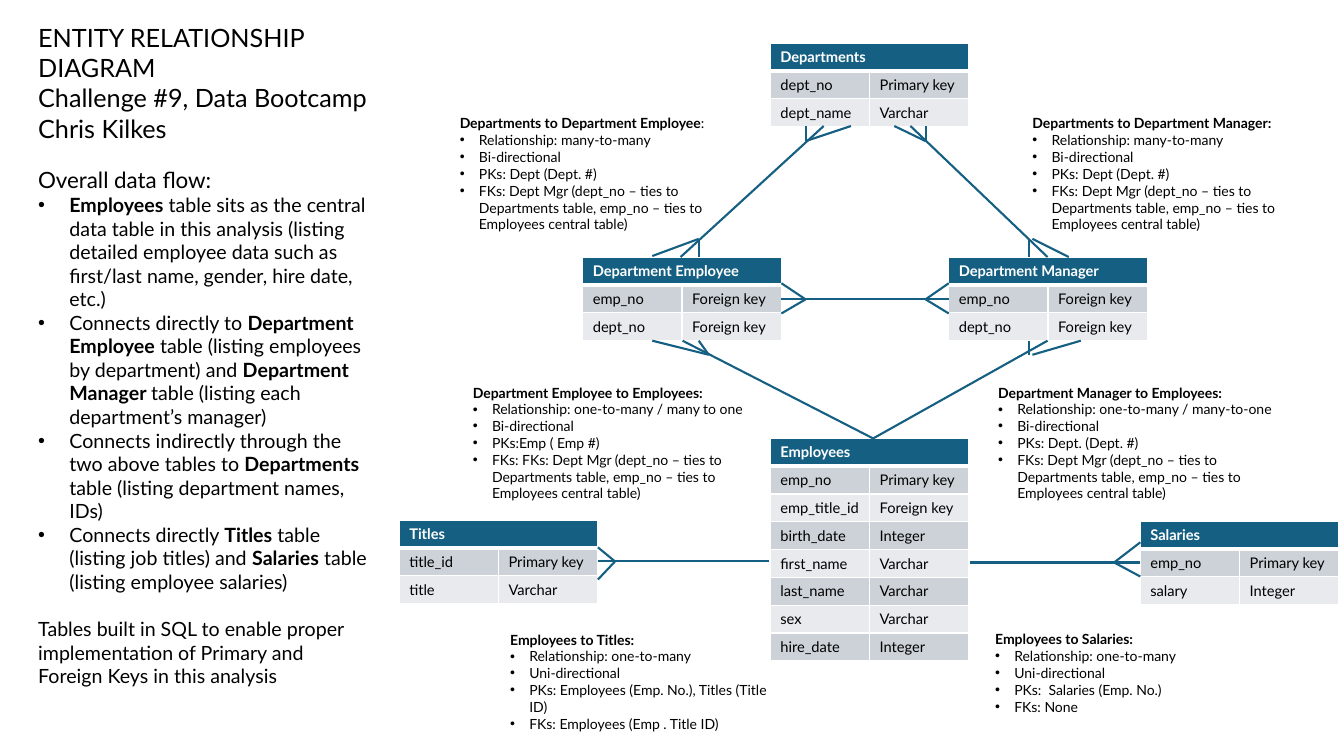
"""Build the entity relationship diagram slide for an employee database."""
from dataclasses import dataclass

from lxml import etree
from pptx import Presentation
from pptx.dml.color import RGBColor
from pptx.enum.shapes import MSO_CONNECTOR
from pptx.enum.text import MSO_AUTO_SIZE
from pptx.oxml.ns import qn
from pptx.slide import Slide
from pptx.util import Inches, Pt

STRAIGHT = MSO_CONNECTOR.STRAIGHT
FIT_SHAPE = MSO_AUTO_SIZE.SHAPE_TO_FIT_TEXT
FONT = "Lato"
BLUE, WHITE, BLACK = "156082", "FFFFFF", "000000"
BANDS = ("E8EAED", "CCD2D8")
ENTITY_WIDTH, ROW_HEIGHT = 1.97, 0.27
Point = tuple[float, float]


@dataclass
class Entity:
    left: float
    top: float
    title: str
    fields: list[tuple[str, str]]


@dataclass
class CrowFoot:
    tip: Point
    toes: list[Point]


@dataclass
class Line:
    text: str
    size: float
    indent: float = 0
    space_before: float = 0


@dataclass
class Note:
    left: float
    top: float
    width: float
    height: float
    title: str
    facts: list[str]


PK, FK, VARCHAR, INTEGER = "Primary key", "Foreign key", "Varchar", "Integer"
LINK_FIELDS = [("emp_no", FK), ("dept_no", FK)]
ENTITIES = [
    Entity(7.64, 4.35, "Employees", [
        ("emp_no", PK), ("emp_title_id", FK), ("birth_date", INTEGER),
        ("first_name", VARCHAR), ("last_name", VARCHAR), ("sex", VARCHAR),
        ("hire_date", INTEGER)]),
    Entity(7.64, 0.43, "Departments", [("dept_no", PK), ("dept_name", VARCHAR)]),
    Entity(5.78, 2.55, "Department Employee", LINK_FIELDS),
    Entity(9.41, 2.55, "Department Manager", LINK_FIELDS),
    Entity(11.31, 5.17, "Salaries", [("emp_no", PK), ("salary", INTEGER)]),
    Entity(3.96, 5.16, "Titles", [("title_id", PK), ("title", VARCHAR)]),
]

RELATIONSHIPS: list[tuple[Point, Point]] = [
    ((9.62, 5.58), (11.31, 5.58)),
    ((7.63, 5.57), (5.93, 5.57)),
    ((7.75, 2.97), (9.41, 2.97)),
    ((10.39, 2.55), (9.03, 1.25)),
    ((6.75, 2.55), (8.17, 1.25)),
    ((8.66, 4.35), (10.39, 3.38)),
    ((8.66, 4.35), (6.77, 3.38)),
]
CROW_FEET = [
    CrowFoot((11.05, 5.58), [(11.31, 5.38), (11.31, 5.72)]),
    CrowFoot((6.1, 5.57), [(5.93, 5.43), (5.93, 5.75)]),
    CrowFoot((9.18, 2.97), [(9.41, 3.11), (9.41, 2.81)]),
    CrowFoot((7.99, 2.97), [(7.75, 3.11), (7.75, 2.81)]),
    CrowFoot((7.99, 1.4), [(7.99, 1.25), (8.44, 1.25)]),
    CrowFoot((9.18, 1.4), [(9.18, 1.25), (8.87, 1.25)]),
    CrowFoot((6.93, 2.37), [(6.47, 2.54), (6.93, 2.55)]),
    CrowFoot((10.21, 2.37), [(10.21, 2.55)]),
    CrowFoot((10.24, 2.37), [(10.6, 2.55)]),
    CrowFoot((7.03, 3.52), [(6.47, 3.38), (6.93, 3.38)]),
    CrowFoot((10.21, 3.52), [(10.21, 3.38)]),
    CrowFoot((10.24, 3.52), [(10.72, 3.38)]),
]

MANY = "Relationship: many-to-many"
ONE = "Relationship: one-to-many"
BOTH_WAYS, ONE_WAY = "Bi-directional", "Uni-directional"
MANAGER_KEYS = ("Dept Mgr (dept_no – ties to Departments table, "
                "emp_no – ties to Employees central table)")
NOTES = [
    Note(4.56, 1.14, 2.69, 1.18, "**Departments to Department Employee**:",
         [MANY, BOTH_WAYS, "PKs: Dept (Dept. #)", f"FKs: {MANAGER_KEYS}"]),
    Note(10.24, 1.14, 2.73, 1.18, "**Departments to Department Manager:**",
         [MANY, BOTH_WAYS, "PKs: Dept (Dept. #)", f"FKs: {MANAGER_KEYS}"]),
    Note(9.9, 3.81, 2.83, 1.18, "**Department Manager to Employees:**",
         [f"{ONE} / many-to-one", BOTH_WAYS, "PKs: Dept. (Dept. #)", f"FKs: {MANAGER_KEYS}"]),
    Note(4.69, 3.81, 2.96, 1.35, "**Department Employee to Employees:**",
         [f"{ONE} / many to one", BOTH_WAYS, "PKs:Emp ( Emp #)", f"FKs: FKs: {MANAGER_KEYS}"]),
    Note(5.06, 6.26, 2.69, 1.01, "**Employees to Titles:**",
         [ONE, ONE_WAY, "PKs: Employees (Emp. No.), Titles (Title ID)",
          "FKs: Employees (Emp . Title ID)"]),
    Note(9.87, 6.26, 2.69, 0.84, "**Employees to Salaries:**",
         [ONE, ONE_WAY, "PKs:  Salaries (Emp. No.)", "FKs: None"]),
]

HEADING = ["ENTITY RELATIONSHIP DIAGRAM", "Challenge #9, Data Bootcamp", "Chris Kilkes"]
DATA_FLOW = [
    "**Employees** table sits as the central data table in this analysis (listing detailed "
    "employee data such as first/last name, gender, hire date, etc.)",
    "Connects directly to **Department Employee** table (listing employees by department) "
    "and **Department Manager **table (listing each department’s manager)",
    "Connects indirectly through the two above tables to **Departments** table "
    "(listing department names, IDs)",
    "Connects directly **Titles** table (listing job titles) and **Salaries** table "
    "(listing employee salaries)",
]
CLOSING = ("Tables built in SQL to enable proper implementation of Primary and "
           "Foreign Keys in this analysis")


def color(value: str) -> RGBColor:
    """Turn a hex string into a colour."""
    return RGBColor.from_string(value)


def apply(target: object, values: dict) -> None:
    """Set every format value on the target."""
    for attribute, value in values.items():
        setattr(target, attribute, value)


def add_runs(paragraph, text: str, size: float, ink: str = BLACK) -> None:
    """Add text whose parts between double asterisks are bold."""
    for index, part in enumerate(text.split("**")):
        if part:
            run = paragraph.add_run()
            run.text = part
            apply(run.font, {"name": FONT, "size": Pt(size), "bold": index % 2 == 1})
            run.font.color.rgb = color(ink)


def add_bullet(paragraph, indent: float) -> None:
    """Give the paragraph a hanging round bullet."""
    properties = paragraph._p.get_or_add_pPr()
    properties.set("marL", str(Inches(indent)))
    properties.set("indent", str(-Inches(indent)))
    etree.SubElement(properties, qn("a:buFont"), typeface="Arial")
    etree.SubElement(properties, qn("a:buChar"), char="•")


def add_text(slide: Slide, box: tuple[float, ...], lines: list[Line],
             frame_format: dict | None = None) -> None:
    """Add a wrapped text box with one paragraph per line."""
    frame = slide.shapes.add_textbox(*map(Inches, box)).text_frame
    apply(frame, {"word_wrap": True, "auto_size": FIT_SHAPE, **(frame_format or {})})
    for index, line in enumerate(lines):
        paragraph = frame.add_paragraph() if index else frame.paragraphs[0]
        paragraph.space_before = Pt(line.space_before)
        if line.indent:
            add_bullet(paragraph, line.indent)
        add_runs(paragraph, line.text, line.size)


def add_borders(cell, row: int) -> None:
    """Draw white cell borders, thicker below the header row."""
    widths = {"L": 1, "R": 1, "T": 3 if row == 1 else 1, "B": 3 if row == 0 else 1}
    for side, width in widths.items():
        border = etree.SubElement(cell._tc.get_or_add_tcPr(), qn(f"a:ln{side}"), w=str(Pt(width)))
        fill = etree.SubElement(border, qn("a:solidFill"))
        etree.SubElement(fill, qn("a:srgbClr"), val=WHITE)


def add_entity(slide: Slide, entity: Entity) -> None:
    """Draw an entity as a table with a merged header."""
    rows = [(f"**{entity.title}**", ""), *entity.fields]
    box = (entity.left, entity.top, ENTITY_WIDTH, ROW_HEIGHT * len(rows))
    table = slide.shapes.add_table(len(rows), 2, *map(Inches, box)).table
    table.cell(0, 0).merge(table.cell(0, 1))
    for row, texts in enumerate(rows):
        for column, text in enumerate(texts):
            cell = table.cell(row, column)
            add_borders(cell, row)
            cell.fill.solid()
            cell.fill.fore_color.rgb = color(BANDS[row % 2] if row else BLUE)
            add_runs(cell.text_frame.paragraphs[0], text, 10.5, BLACK if row else WHITE)


def add_line(slide: Slide, start: Point, end: Point) -> None:
    """Draw a blue straight line without a shadow."""
    connector = slide.shapes.add_connector(STRAIGHT, *map(Inches, (*start, *end)))
    connector.line.color.rgb = color(BLUE)
    connector.line.width = Pt(1.5)
    etree.SubElement(connector._element.spPr, qn("a:effectLst"))


def main() -> None:
    """Build and save the slide."""
    deck = Presentation()
    apply(deck, {"slide_width": Inches(13.33), "slide_height": Inches(7.5)})
    slide = deck.slides.add_slide(deck.slide_layouts[6])
    for entity in ENTITIES:
        add_entity(slide, entity)
    for start, end in RELATIONSHIPS:
        add_line(slide, start, end)
    for foot in CROW_FEET:
        for toe in foot.toes:
            add_line(slide, foot.tip, toe)
    no_margins = {f"margin_{side}": 0 for side in ("left", "top", "right", "bottom")}
    for note in NOTES:
        lines = [Line(note.title, 10), *(Line(fact, 10, 0.19) for fact in note.facts)]
        add_text(slide, (note.left, note.top, note.width, note.height), lines, no_margins)
    add_text(slide, (0.28, 0.17, 3.82, 1.01), [Line(text, 18) for text in HEADING])
    flow = [Line(text, 14, 0.31) for text in DATA_FLOW]
    add_text(slide, (0.28, 1.6, 3.51, 5.08),
             [Line("Overall data flow:", 16), *flow, Line(CLOSING, 14, space_before=17)])
    deck.save("out.pptx")


if __name__ == "__main__":
    main()
